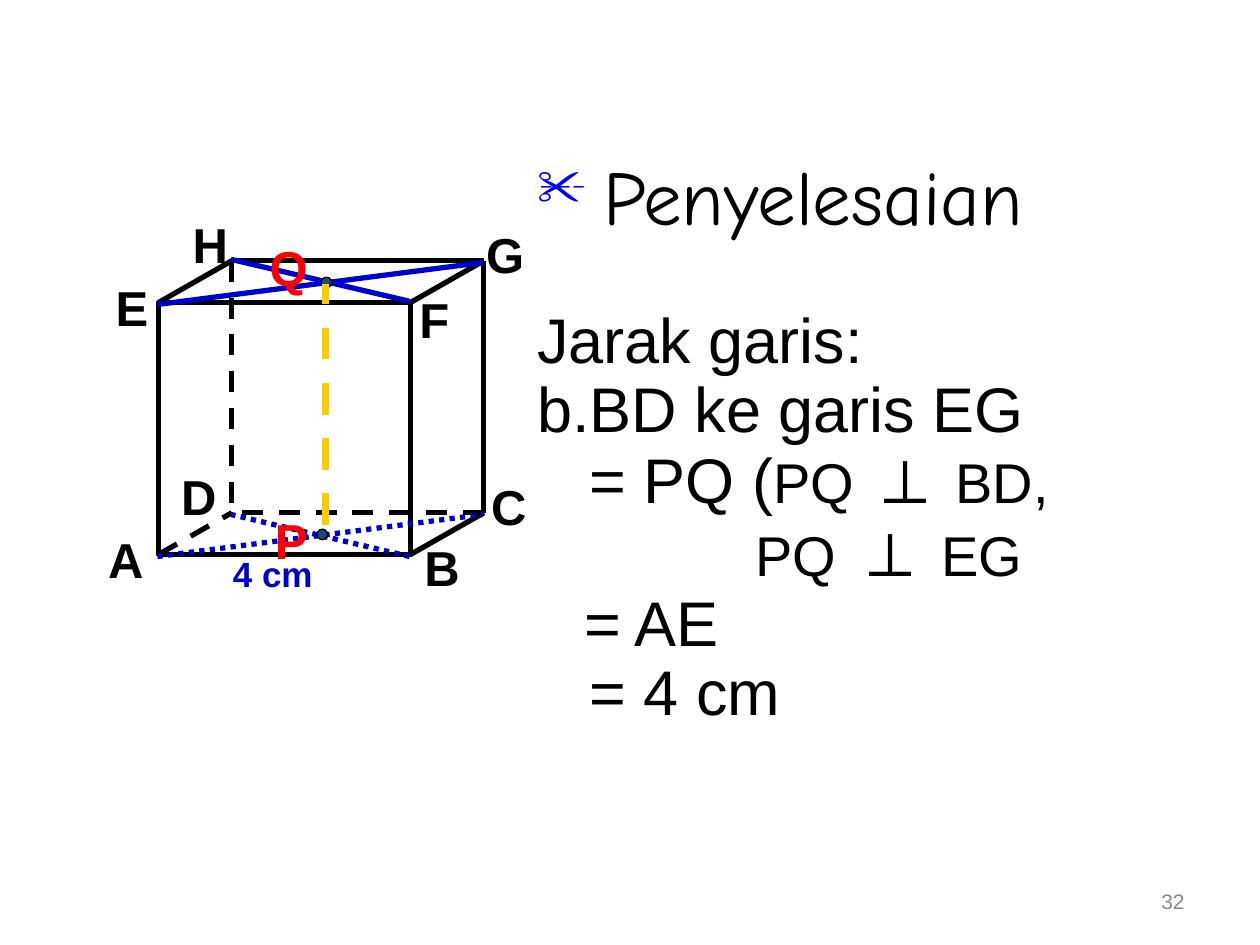
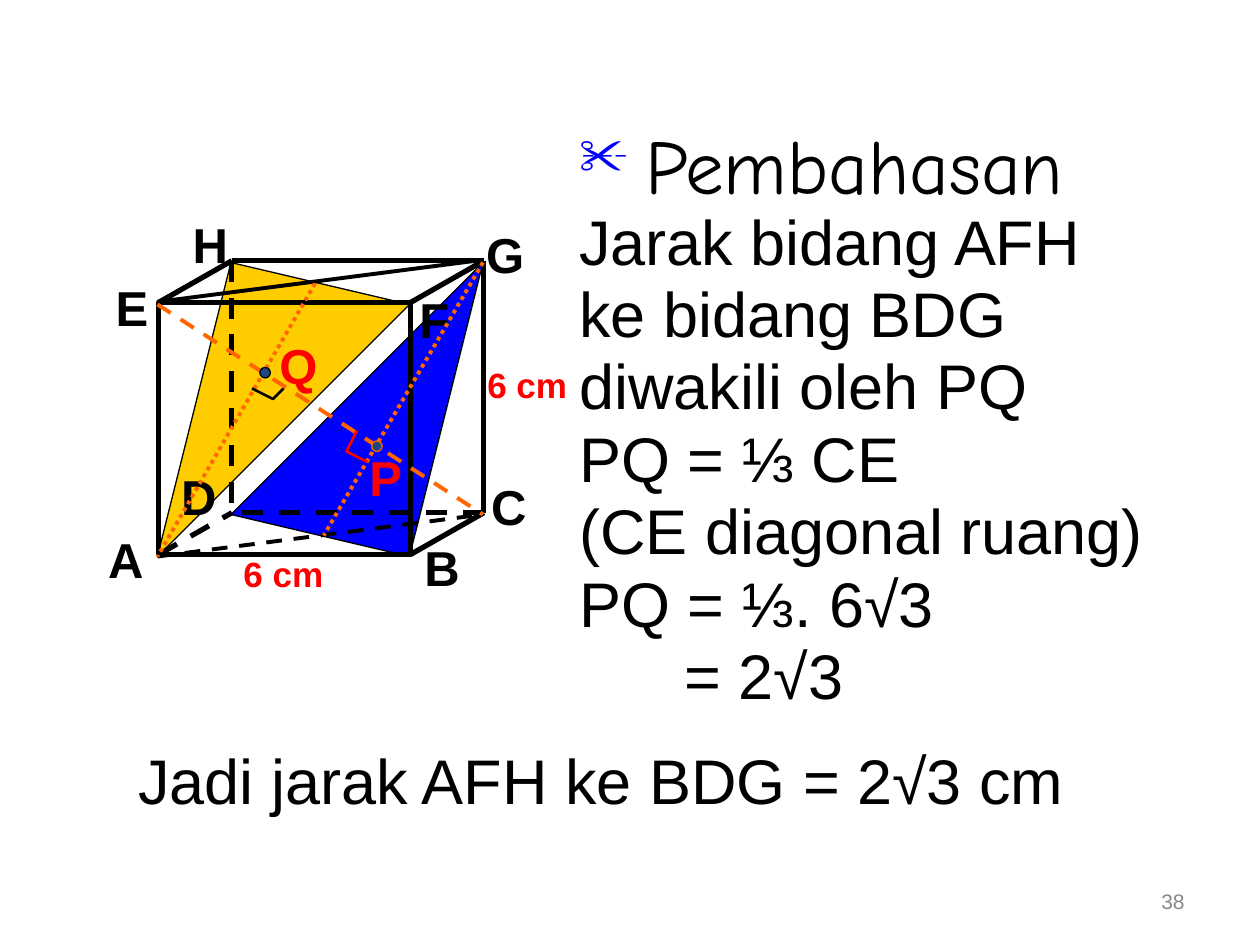
from dataclasses import dataclass
from typing import Any, Sequence

from pptx import Presentation
from pptx.dml.color import RGBColor
from pptx.enum.dml import MSO_LINE
from pptx.enum.shapes import MSO_CONNECTOR, MSO_SHAPE
from pptx.enum.text import MSO_ANCHOR, PP_ALIGN
from pptx.oxml.xmlchemy import OxmlElement
from pptx.util import Pt

SOLID, DASH, DOT = None, MSO_LINE.DASH, MSO_LINE.ROUND_DOT
STRAIGHT = MSO_CONNECTOR.STRAIGHT
RECT, OVAL = MSO_SHAPE.RECTANGLE, MSO_SHAPE.OVAL
MIDDLE = MSO_ANCHOR.MIDDLE
LEFT, RIGHT, JUSTIFY = PP_ALIGN.LEFT, PP_ALIGN.RIGHT, PP_ALIGN.JUSTIFY

COLORS = {
    "black": "000000", "blue": "0000FF", "navy": "0000CC", "gold": "FFCC00",
    "red": "FF0000", "orange": "FF6600", "dot": "1F497D", "gray": "898989",
}
BODY_FONT, TITLE_FONT = "Arial", "Comic Neue"

Point = tuple[float, float]


def cube_vertices(left: float, top: float, edge: float, dx: float, dy: float) -> dict[str, Point]:
    """Front face ABFE, with the back face DCGH moved by (dx, -dy)."""
    front = {"A": (left, top + edge), "B": (left + edge, top + edge),
             "E": (left, top), "F": (left + edge, top)}
    back = {b: (front[f][0] + dx, front[f][1] - dy) for f, b in zip("ABEF", "DCHG")}
    return front | back


EDGE = 144
CUBE = cube_vertices(90.7, 172.8, EDGE, 41.8, 23.8)
INNER = cube_vertices(90, 174, EDGE, 42, 24)  # ends of lines drawn inside the cube
CUBE_EDGES = [("EH", SOLID), ("FG", SOLID), ("AD", DASH), ("BC", SOLID),
              ("HD", DASH), ("CD", DASH), ("GC", SOLID), ("GH", SOLID)]


@dataclass
class Segment:
    start: Point
    end: Point
    color: str = "black"
    width: float = 3
    dash: Any = SOLID


@dataclass
class Label:
    text: str
    left: float
    top: float
    color: str = "black"
    size: float = 28
    width: float = 42
    bold: bool = True


@dataclass
class Run:
    text: str
    size: float = 36
    font: str = BODY_FONT
    color: str = "black"
    bold: bool = False


@dataclass
class Para:
    runs: Sequence[Run]
    before: float = 9
    spacing: float = 0.7
    margin: float = 0
    indent: float = 0
    bullet: str = ""
    align: Any = JUSTIFY


@dataclass
class Dot:
    left: float
    top: float
    line: str = "black"


@dataclass
class Outline:
    points: Sequence[Point]
    fill: str = ""
    line: str = "black"
    width: float = 0.75
    closed: bool = True


VERTEX_LABELS = [
    Label("A", 54.7, 298.8), Label("B", 235.4, 303.8), Label("C", 273.6, 268.6),
    Label("D", 96.5, 262.8), Label("H", 103, 118.8), Label("E", 59, 154.8),
    Label("F", 232.6, 162), Label("G", 270.7, 124.6),
]


def rgb(name: str) -> RGBColor:
    return RGBColor.from_string(COLORS[name])


def inner_line(ends: str, color: str, width: float, dash: Any = SOLID, lift: float = 0) -> Segment:
    (x1, y1), (x2, y2) = (INNER[v] for v in ends)
    return Segment((x1, y1 - lift), (x2, y2 - lift), color, width, dash)


def style_shape(sp: Any, fill: str, line: str, width: float) -> None:
    sp.shadow.inherit = False
    if fill:
        sp.fill.solid()
        sp.fill.fore_color.rgb = rgb(fill)
    else:
        sp.fill.background()
    sp.line.color.rgb = rgb(line)
    sp.line.width = Pt(width)


def add_segment(shapes: Any, seg: Segment) -> None:
    c = shapes.add_connector(STRAIGHT, *(Pt(v) for v in seg.start + seg.end))
    c.line.color.rgb = rgb(seg.color)
    c.line.width = Pt(seg.width)
    if seg.dash is not SOLID:
        c.line.dash_style = seg.dash
    c._element.spPr.append(OxmlElement("a:effectLst"))


def add_outline(shapes: Any, outline: Outline) -> None:
    points = [(Pt(x), Pt(y)) for x, y in outline.points]
    fb = shapes.build_freeform(*points[0], scale=1.0)
    fb.add_line_segments(points[1:], close=outline.closed)
    style_shape(fb.convert_to_shape(), outline.fill, outline.line, outline.width)


def add_dot(shapes: Any, dot: Dot) -> None:
    sp = shapes.add_shape(OVAL, Pt(dot.left), Pt(dot.top), Pt(6), Pt(6))
    style_shape(sp, "dot", dot.line, 0.75)


def add_bullet(p: Any, char: str) -> None:
    pPr = p._p.get_or_add_pPr()
    color = OxmlElement("a:buClr")
    for tag, parent, key, val in (("a:srgbClr", color, "val", COLORS["blue"]),
                                  ("a:buSzPct", pPr, "val", "80000"),
                                  ("a:buChar", pPr, "char", char)):
        el = OxmlElement(tag)
        el.set(key, val)
        parent.append(el)
    pPr.insert(0, color)


def add_text(shapes: Any, box: Sequence[float], paras: Sequence[Para], anchor: Any = None) -> None:
    tf = shapes.add_textbox(*(Pt(v) for v in box)).text_frame
    tf.word_wrap = True
    if anchor is not None:
        tf.vertical_anchor = anchor
    for i, para in enumerate(paras):
        p = tf.add_paragraph() if i else tf.paragraphs[0]
        pPr = p._p.get_or_add_pPr()
        pPr.set("marL", str(Pt(para.margin)))
        pPr.set("indent", str(Pt(para.indent)))
        if para.bullet:
            add_bullet(p, para.bullet)
        p.alignment = para.align
        p.line_spacing = para.spacing
        p.space_before = Pt(para.before if i else 0)
        for run in para.runs:
            r = p.add_run()
            r.text = run.text
            r.font.name, r.font.size, r.font.bold = run.font, Pt(run.size), run.bold
            r.font.color.rgb = rgb(run.color)


def add_label(shapes: Any, label: Label) -> None:
    run = Run(label.text, label.size, color=label.color, bold=label.bold)
    add_text(shapes, (label.left, label.top, label.width, label.size * 1.2 + 7.2),
             [Para([run], spacing=1, align=LEFT)])


def add_cube(s: Any) -> None:
    shapes = s.shapes.add_group_shape().shapes
    face = shapes.add_shape(RECT, *(Pt(v) for v in CUBE["E"] + (EDGE, EDGE)))
    style_shape(face, "", "black", 3)
    for (start, end), dash in CUBE_EDGES:
        add_segment(shapes, Segment(CUBE[start], CUBE[end], dash=dash))
    for label in VERTEX_LABELS:
        add_label(shapes, label)


def add_slide(prs: Any, number: int) -> Any:
    s = prs.slides.add_slide(prs.slide_layouts[6])
    add_text(s.shapes, (516, 500.4, 168, 28.8),
             [Para([Run(str(number), 12, color="gray")], spacing=1, align=RIGHT)], MIDDLE)
    return s


def heading(text: str, hanging: float = 0) -> Para:
    return Para([Run(" "), Run(text, 44, TITLE_FONT)],
                margin=hanging, indent=-hanging, bullet="✂")


def draw_all(s: Any, items: Sequence[Any]) -> None:
    draw = {Segment: add_segment, Outline: add_outline, Dot: add_dot, Label: add_label}
    for item in items:
        draw[type(item)](s.shapes, item)


def build_line_distance(prs: Any) -> None:
    s = add_slide(prs, 32)
    add_text(s.shapes, (300, 96, 360, 363), [
        heading("Penyelesaian", 27),
        Para([Run("Jarak garis:")], before=47),
        Para([Run("b.BD ke garis EG")]),
        Para([Run("= PQ ("), Run("PQ ", 32), Run("⊥", 40), Run(" BD,", 32)],
             before=8, margin=30),
        Para([Run("PQ", 32), Run(" ⊥", 40), Run(" EG", 32)], before=8, margin=124.5),
        Para([Run("= AE")], margin=26.7),
        Para([Run("= 4 cm")], margin=30),
    ])
    add_cube(s)
    draw_all(s, [
        Label("4 cm", 126, 312, "navy", 20, 78),
        inner_line("BD", "navy", 3, DOT),
        inner_line("EG", "navy", 3),
        inner_line("AC", "navy", 3, DOT),
        inner_line("FH", "navy", 3, lift=1.8),
        Dot(181.2, 302.4), Label("P", 150, 288, "red"),
        Dot(183.6, 158.4), Label("Q", 147, 132, "red"),
        Segment((186, 300), (186, 162), "gold", 4.5, DASH),
    ])


def build_plane_distance(prs: Any) -> None:
    s = add_slide(prs, 38)
    draw_all(s, [Outline([INNER[v] for v in "GDB"], "blue"),
                 Outline([INNER[v] for v in "HAF"], "gold")])
    lines = ["ke bidang BDG", "diwakili oleh PQ", "PQ = ⅓ CE",
             "(CE diagonal ruang)", "PQ = ⅓. 6√3"]
    add_text(s.shapes, (324, 78, 384, 332), [
        heading("Pembahasan"),
        Para([Run("Jarak bidang AFH")]),
        *(Para([Run(line)], spacing=0.75) for line in lines),
        Para([Run("= 2√3")], spacing=0.75, margin=60),
    ])
    add_cube(s)
    draw_all(s, [
        Label("6 cm", 271.4, 204, "red", 20, 78),
        Label("6 cm", 132, 312, "red", 20, 78),
        inner_line("AC", "black", 2.25, DASH),
        inner_line("EG", "black", 2.25, lift=1.5),
        Segment((180, 162), INNER["A"], "orange", 2.25, DOT),
        Segment(INNER["G"], (185, 306), "orange", 2.25, DOT),
        inner_line("EC", "orange", 2.25, DASH),
        Label("P", 204, 252, "red"), Dot(212.4, 252, "orange"),
        Dot(148.5, 210), Label("Q", 152.6, 188, "red"),
        Outline([(144, 222), (156, 228), (162, 222)], width=1.5, closed=False),
        Outline([(204, 246), (198, 258), (210, 264)], line="red", width=1.5, closed=False),
        Label("Jadi jarak AFH ke BDG = 2√3 cm", 72, 420, size=36, width=570, bold=False),
    ])


def main() -> None:
    prs = Presentation()
    prs.slide_width, prs.slide_height = Pt(720), Pt(540)
    build_line_distance(prs)
    build_plane_distance(prs)
    prs.save("out.pptx")


if __name__ == "__main__":
    main()
